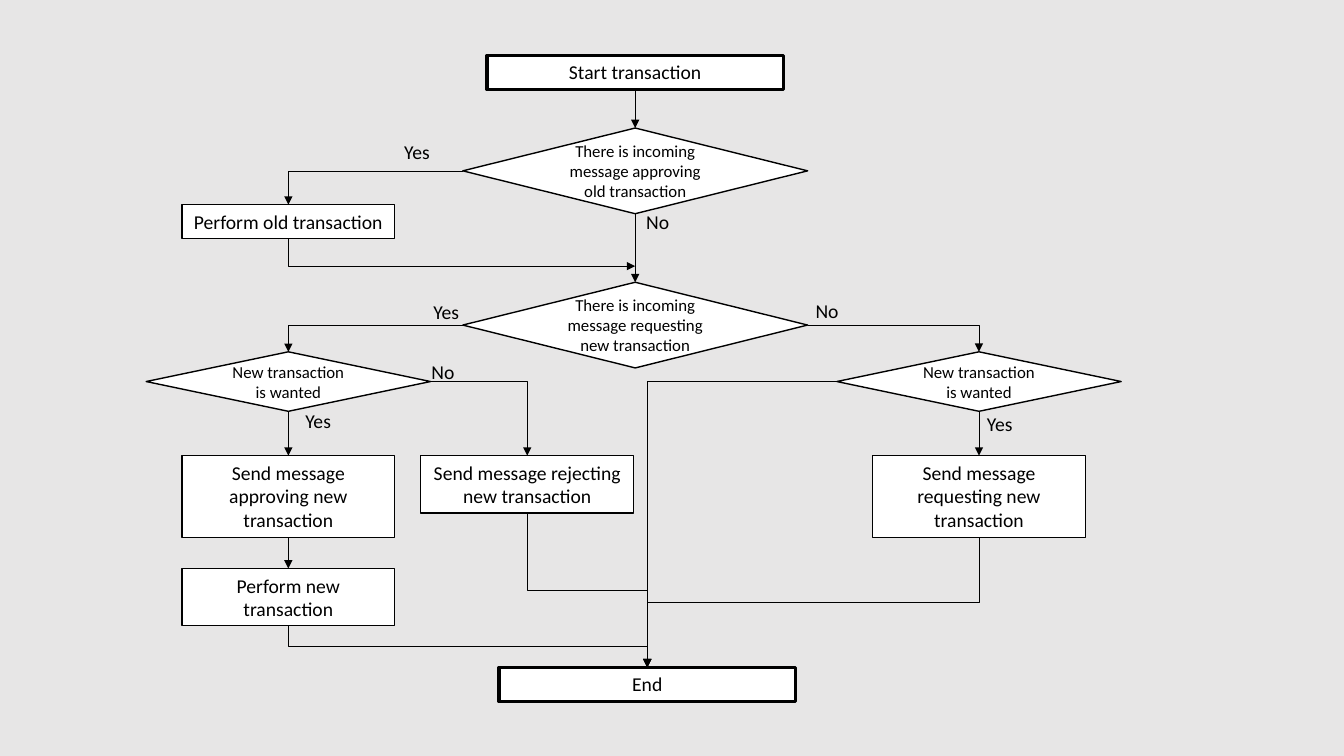
from dataclasses import dataclass
from typing import Optional

from lxml.etree import SubElement
from pptx import Presentation
from pptx.dml.color import RGBColor
from pptx.enum.shapes import MSO_CONNECTOR, MSO_SHAPE
from pptx.enum.text import MSO_ANCHOR, MSO_AUTO_SIZE, PP_ALIGN
from pptx.oxml.ns import qn
from pptx.shapes.autoshape import Shape
from pptx.slide import Slide
from pptx.util import Inches, Pt


@dataclass(frozen=True)
class Theme:
    font: str = "Calibri"
    ink: RGBColor = RGBColor(0, 0, 0)
    paper: RGBColor = RGBColor(255, 255, 255)
    backdrop: RGBColor = RGBColor(0xE7, 0xE6, 0xE6)
    body_size: float = 14
    decision_size: float = 12
    link_width: float = 0.5


@dataclass(frozen=True)
class Kind:
    outline: MSO_SHAPE
    width: float
    border: float
    size: float
    frame_format: dict


@dataclass(frozen=True)
class Node:
    name: str
    kind: Kind
    center: float
    top: float
    height: float
    text: str


@dataclass(frozen=True)
class Link:
    source: str
    side: int
    target: Optional[str]
    bends: int = 0


@dataclass(frozen=True)
class Label:
    text: str
    left: float
    top: float


THEME = Theme()
TOP, LEFT, BOTTOM, RIGHT = range(4)
GROWING = {"word_wrap": True, "vertical_anchor": MSO_ANCHOR.TOP,
           "auto_size": MSO_AUTO_SIZE.SHAPE_TO_FIT_TEXT}
CENTERED = {"word_wrap": True, "vertical_anchor": MSO_ANCHOR.MIDDLE}
TERMINAL = Kind(MSO_SHAPE.RECTANGLE, 2.94, 2.25, THEME.body_size, GROWING)
ACTION = Kind(MSO_SHAPE.RECTANGLE, 2.11, 0.75, THEME.body_size, GROWING)
CHECK = Kind(MSO_SHAPE.DIAMOND, 3.42, 1, THEME.decision_size, CENTERED)
CHOICE = Kind(MSO_SHAPE.DIAMOND, 2.82, 1, THEME.decision_size, CENTERED)

ONE_LINE, TWO_LINES, THREE_LINES = 0.34, 0.57, 0.81
ACCEPT_X, REJECT_X, MAIN_X, END_X, REQUEST_X = 2.86, 5.23, 6.3, 6.42, 9.71
CHOICE_Y, SEND_Y = 3.49, 4.52
MERGE_POINT = (MAIN_X, 2.64)

NODES = [
    Node("start", TERMINAL, MAIN_X, 0.55, ONE_LINE, "Start transaction"),
    Node("approval", CHECK, MAIN_X, 1.27, 0.85,
         "There is incoming message approving old transaction"),
    Node("old", ACTION, ACCEPT_X, 2.03, ONE_LINE, "Perform old transaction"),
    Node("request", CHECK, MAIN_X, 2.8, 0.85,
         "There is incoming message requesting new transaction"),
    Node("accept", CHOICE, ACCEPT_X, CHOICE_Y, 0.59, "New transaction is wanted"),
    Node("want", CHOICE, REQUEST_X, CHOICE_Y, 0.59, "New transaction is wanted"),
    Node("rejecting", ACTION, REJECT_X, SEND_Y, TWO_LINES,
         "Send message rejecting new transaction"),
    Node("approving", ACTION, ACCEPT_X, SEND_Y, THREE_LINES,
         "Send message approving new transaction"),
    Node("new", ACTION, ACCEPT_X, 5.64, TWO_LINES, "Perform new transaction"),
    Node("requesting", ACTION, REQUEST_X, SEND_Y, THREE_LINES,
         "Send message requesting new transaction"),
    Node("end", TERMINAL, END_X, 6.62, ONE_LINE, "End"),
]
LINKS = [
    Link("start", BOTTOM, "approval"),
    Link("approval", LEFT, "old", 1),
    Link("approval", BOTTOM, "request"),
    Link("old", BOTTOM, None, 1),
    Link("request", LEFT, "accept", 1),
    Link("request", RIGHT, "want", 1),
    Link("accept", RIGHT, "rejecting", 1),
    Link("accept", BOTTOM, "approving"),
    Link("approving", BOTTOM, "new"),
    Link("want", BOTTOM, "requesting"),
    Link("want", LEFT, "end", 1),
    Link("requesting", BOTTOM, "end", 2),
    Link("rejecting", BOTTOM, "end", 2),
    Link("new", BOTTOM, "end", 2),
]
LABELS = [
    Label("Yes", 3.91, 1.34), Label("No", 6.31, 2.03),
    Label("Yes", 4.2, 2.93), Label("No", 7.99, 2.92),
    Label("No", 4.18, 3.52), Label("Yes", 2.93, 4.01),
    Label("Yes", 9.69, 4.04),
]


def write_text(box: Shape, text: str, size: float, align: PP_ALIGN,
               frame_format: dict) -> None:
    for name, value in frame_format.items():
        setattr(box.text_frame, name, value)
    para = box.text_frame.paragraphs[0]
    para.alignment = align
    span = para.add_run()
    span.text = text
    for name, value in {"name": THEME.font, "size": Pt(size)}.items():
        setattr(span.font, name, value)
    span.font.color.rgb = THEME.ink


def draw_node(page: Slide, node: Node) -> Shape:
    kind = node.kind
    box = page.shapes.add_shape(
        kind.outline, Inches(node.center - kind.width / 2), Inches(node.top),
        Inches(kind.width), Inches(node.height))
    box.shadow.inherit = False
    box.fill.solid()
    box.fill.fore_color.rgb = THEME.paper
    box.line.color.rgb = THEME.ink
    box.line.width = Pt(kind.border)
    write_text(box, node.text, kind.size, PP_ALIGN.CENTER, kind.frame_format)
    return box


def draw_label(page: Slide, label: Label) -> None:
    box = page.shapes.add_textbox(Inches(label.left), Inches(label.top),
                                  Inches(0.79), Inches(ONE_LINE))
    write_text(box, label.text, THEME.body_size, PP_ALIGN.LEFT, GROWING)


def draw_link(page: Slide, link: Link, boxes: dict[str, Shape]) -> None:
    style = MSO_CONNECTOR.ELBOW if link.bends else MSO_CONNECTOR.STRAIGHT
    end_x, end_y = (Inches(value) for value in MERGE_POINT)
    connector = page.shapes.add_connector(style, 0, 0, end_x, end_y)
    connector.begin_connect(boxes[link.source], link.side)
    if link.target:
        connector.end_connect(boxes[link.target], TOP)
    connector.line.color.rgb = THEME.ink
    connector.line.width = Pt(THEME.link_width)
    properties = connector.element.spPr
    SubElement(properties.find(qn("a:ln")), qn("a:tailEnd"), type="triangle")
    SubElement(properties, qn("a:effectLst"))
    if not link.bends:
        return

    going_left = connector.end_x < connector.begin_x
    geometry = properties.find(qn("a:prstGeom"))
    geometry.set("prst", f"bentConnector{link.bends + 1}")
    transform = properties.find(qn("a:xfrm"))
    for name in ("rot", "flipH", "flipV"):
        transform.attrib.pop(name, None)
    if link.side == BOTTOM:
        width, height = connector.width, connector.height
        shift = (width - height) // 2
        frame = {"left": connector.left + shift, "top": connector.top - shift,
                 "width": height, "height": width}
        for name, value in frame.items():
            setattr(connector, name, value)
        turn = {"rot": "5400000"} if going_left else {"rot": "16200000", "flipH": "1"}
    else:
        turn = {"rot": "10800000", "flipV": "1"} if going_left else {}
    for name, value in turn.items():
        transform.set(name, value)


def main() -> None:
    deck = Presentation()
    deck.slide_width, deck.slide_height = Inches(13.33), Inches(7.5)
    page = deck.slides.add_slide(deck.slide_layouts[6])
    page.background.fill.solid()
    page.background.fill.fore_color.rgb = THEME.backdrop
    boxes = {node.name: draw_node(page, node) for node in NODES}
    for link in LINKS:
        draw_link(page, link, boxes)
    for label in LABELS:
        draw_label(page, label)
    deck.save("out.pptx")


if __name__ == "__main__":
    main()
